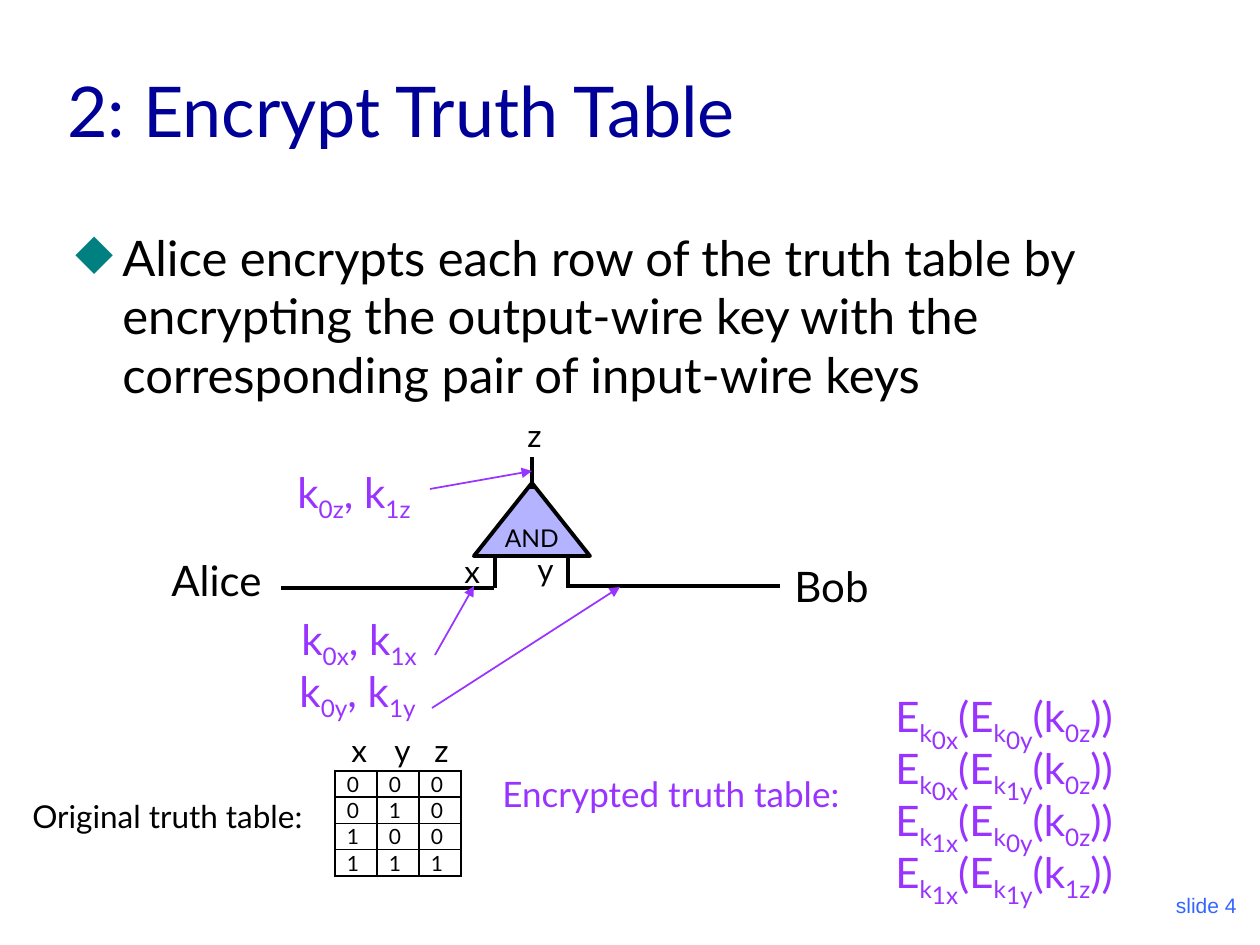
from lxml.etree import SubElement as Sub
from pptx import Presentation
from pptx.dml.color import RGBColor as RGB
from pptx.enum.shapes import MSO_CONNECTOR as Conn, MSO_SHAPE as Kind
from pptx.enum.text import MSO_ANCHOR as Anchor, MSO_AUTO_SIZE as Auto, PP_ALIGN as Align
from pptx.oxml.ns import qn
from pptx.util import Pt

COLORS = {
    "black": "000000", "navy": "000099", "teal": "008080",
    "purple": "9933FF", "lilac": "B3B3FF", "blue": "3366FF",
}


def px(n):
    return round(n * 914400 / 126)


def tint(name):
    return RGB.from_string(COLORS[name])


def write(frame, text, size=18, color="black", font="Lato", align=Align.LEFT, gap=None):
    """Fill a frame with a string, or with (text, baseline percent) pairs."""
    par = frame.paragraphs[0]
    par.alignment = align
    par.space_before = Pt(size / 4 if gap is None else gap)
    for part, base in [(text, 0)] if isinstance(text, str) else text:
        run = par.add_run()
        run.text = part
        run.font.size = Pt(size)
        run.font.name = font
        run.font.color.rgb = tint(color)
        if base:
            run.font._element.set("baseline", str(base * 1000))
    return par


def key(name):
    return [("k", 0), (name, -25)]


def pair(wire):
    return key("0" + wire) + [(", ", 0)] + key("1" + wire)


def lock(x, y, z):
    def outer(name):
        return [("E", 0), ("k", -25), (name, -40), ("(", 0)]
    return outer(f"{x}x") + outer(f"{y}y") + key(f"{z}z") + [("))", 0)]


class Deck:
    def __init__(self):
        self.show = Presentation()
        self.show.slide_width, self.show.slide_height = px(1260), px(945)
        self.slide = self.show.slides.add_slide(self.show.slide_layouts[6])
        self.shapes = self.slide.shapes

    def block(self, text, x, y, w, h, anchor=Anchor.TOP, **style):
        frame = self.shapes.add_textbox(px(x), px(y), px(w), px(h)).text_frame
        frame.word_wrap = True
        frame.vertical_anchor = anchor
        return write(frame, text, **style)

    def label(self, text, x, y, w, h=50, **style):
        frame = self.shapes.add_textbox(px(x), px(y), px(w), px(h)).text_frame
        frame.word_wrap = False
        frame.auto_size = Auto.SHAPE_TO_FIT_TEXT
        write(frame, text, **style)

    def bullet(self, par, mark, color, indent):
        props = par._p.get_or_add_pPr()
        props.set("marL", str(px(indent)))
        props.set("indent", str(-px(indent)))
        Sub(Sub(props, qn("a:buClr")), qn("a:srgbClr"), val=COLORS[color])
        Sub(props, qn("a:buChar"), char=mark)

    def gate(self, text, x, y, w, h):
        shape = self.shapes.add_shape(Kind.ISOSCELES_TRIANGLE, px(x), px(y), px(w), px(h))
        shape.shadow.inherit = False
        shape.fill.solid()
        shape.fill.fore_color.rgb = tint("lilac")
        shape.line.color.rgb = tint("black")
        shape.line.width = Pt(2.25)
        frame = shape.text_frame
        frame.word_wrap = False
        frame.vertical_anchor = Anchor.MIDDLE
        write(frame, text, size=14, align=Align.CENTER)

    def line(self, x1, y1, x2, y2, color="black", width=2.25, head=False):
        link = self.shapes.add_connector(Conn.STRAIGHT, px(x1), px(y1), px(x2), px(y2))
        link.line.color.rgb = tint(color)
        link.line.width = Pt(width)
        if head:
            Sub(link.line._get_or_add_ln(), qn("a:tailEnd"), type="triangle")
        Sub(link._element.spPr, qn("a:effectLst"))

    def arrow(self, *ends):
        self.line(*ends, color="purple", width=1, head=True)

    def table(self, rows, x, y, w, h):
        grid = self.shapes.add_table(len(rows), len(rows[0]), px(x), px(y), px(w), px(h)).table
        grid.first_row = grid.horz_banding = False
        for r, row in enumerate(rows):
            for c, value in enumerate(row):
                self.cell(grid.cell(r, c), str(value))

    def cell(self, cell, text):
        cell.margin_left = px(12)
        cell.margin_right = cell.margin_top = cell.margin_bottom = 0
        cell.vertical_anchor = Anchor.MIDDLE
        props = cell._tc.get_or_add_tcPr()
        for side in "LRTB":
            edge = Sub(props, qn("a:ln" + side), w=str(Pt(1)))
            Sub(Sub(edge, qn("a:solidFill")), qn("a:srgbClr"), val=COLORS["black"])
        cell.fill.background()
        write(cell.text_frame, text, size=12, gap=0)


def main():
    deck = Deck()

    # Title, main point and slide number
    deck.block("2: Encrypt Truth Table", 55, 32, 1162, 126,
               anchor=Anchor.BOTTOM, size=40, color="navy", gap=0)
    point = deck.block("Alice encrypts each row of the truth table by encrypting the "
                       "output-wire key with the corresponding pair of input-wire keys",
                       63, 221, 1155, 693, size=28)
    deck.bullet(point, "◆", "teal", 47)
    deck.block("slide 4", 987, 861, 262, 63, anchor=Anchor.BOTTOM, size=12,
               color="blue", font="Arial", align=Align.RIGHT, gap=7.5)

    # Gate with its wires
    deck.gate("AND", 474, 483, 116, 73)
    for ends in [(495, 557, 495, 588), (568, 557, 568, 588), (532, 457, 532, 489),
                 (494, 588, 281, 588), (780, 586, 567, 586)]:
        deck.line(*ends)
    for name, x, y, w in [("x", 452, 546, 42), ("y", 525, 544, 42), ("z", 515, 410, 39)]:
        deck.label(name, x, y, w)
    deck.label("Alice", 159, 548, 117, 63, size=24)
    deck.label("Bob", 782, 554, 103, 63, size=24)

    # Key pairs, each pointing at its wire
    for wire, x, y, w, ends in [("z", 285, 460, 142, (430, 489, 532, 471)),
                                ("x", 289, 607, 146, (435, 655, 474, 586)),
                                ("y", 287, 659, 145, (432, 708, 620, 587))]:
        deck.label(pair(wire), x, y, w, 71, size=24, color="purple")
        deck.arrow(*ends)

    # Original truth table
    truth = [(x, y, x & y) for x in (0, 1) for y in (0, 1)]
    deck.label("Original truth table:", 20, 791, 318)
    for name, x, w in [("x", 339, 42), ("y", 382, 42), ("z", 422, 39)]:
        deck.label(name, x, 725, w)
    deck.table(truth, 335, 771, 126, 105)

    # Encrypted truth table
    deck.label("Encrypted truth table:", 490, 766, 384, 55, size=20, color="purple")
    for i, row in enumerate(truth):
        deck.label(lock(*row), 883, 684 + 52 * i, 249, 77, size=24, color="purple")

    deck.show.save("out.pptx")


if __name__ == "__main__":
    main()
